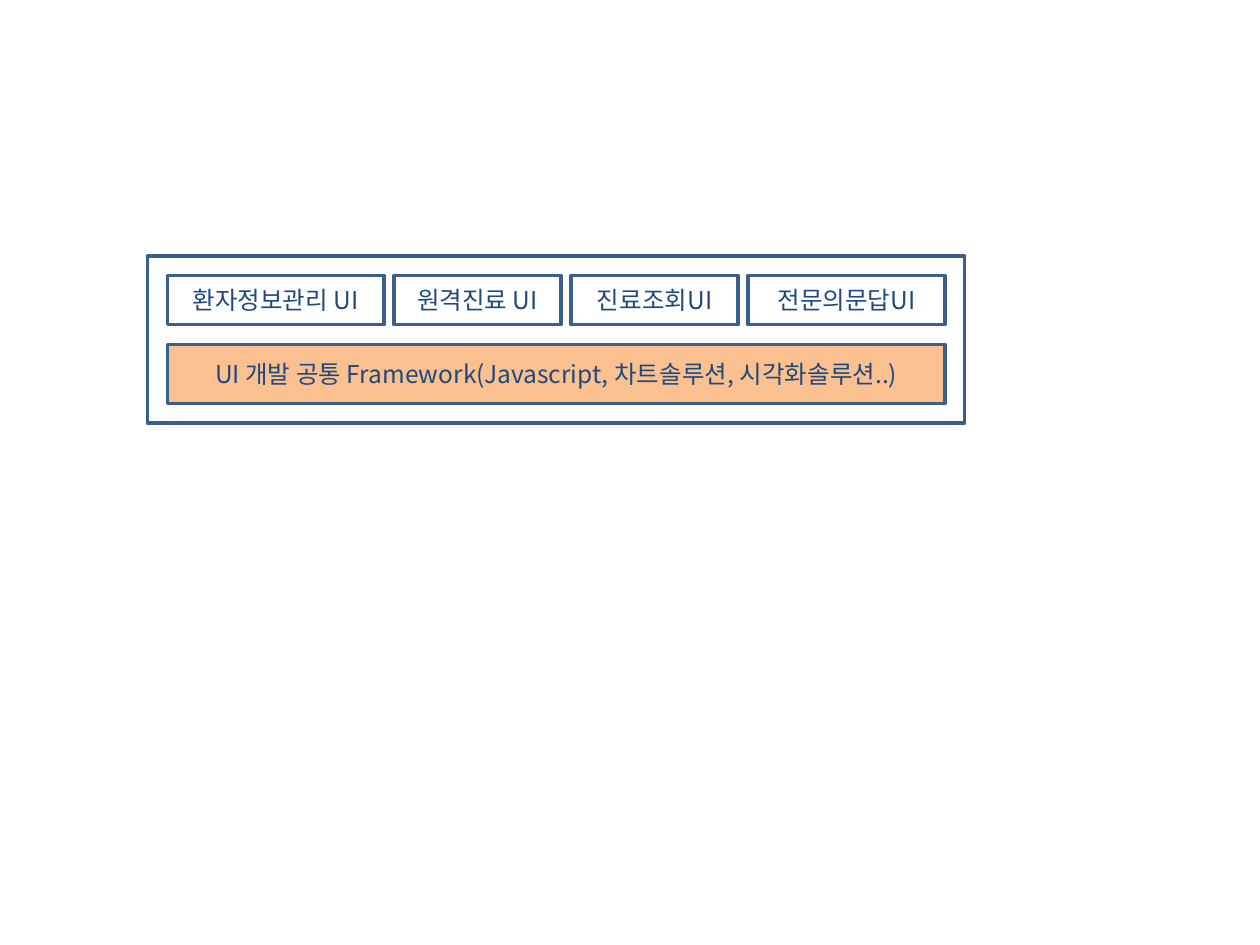
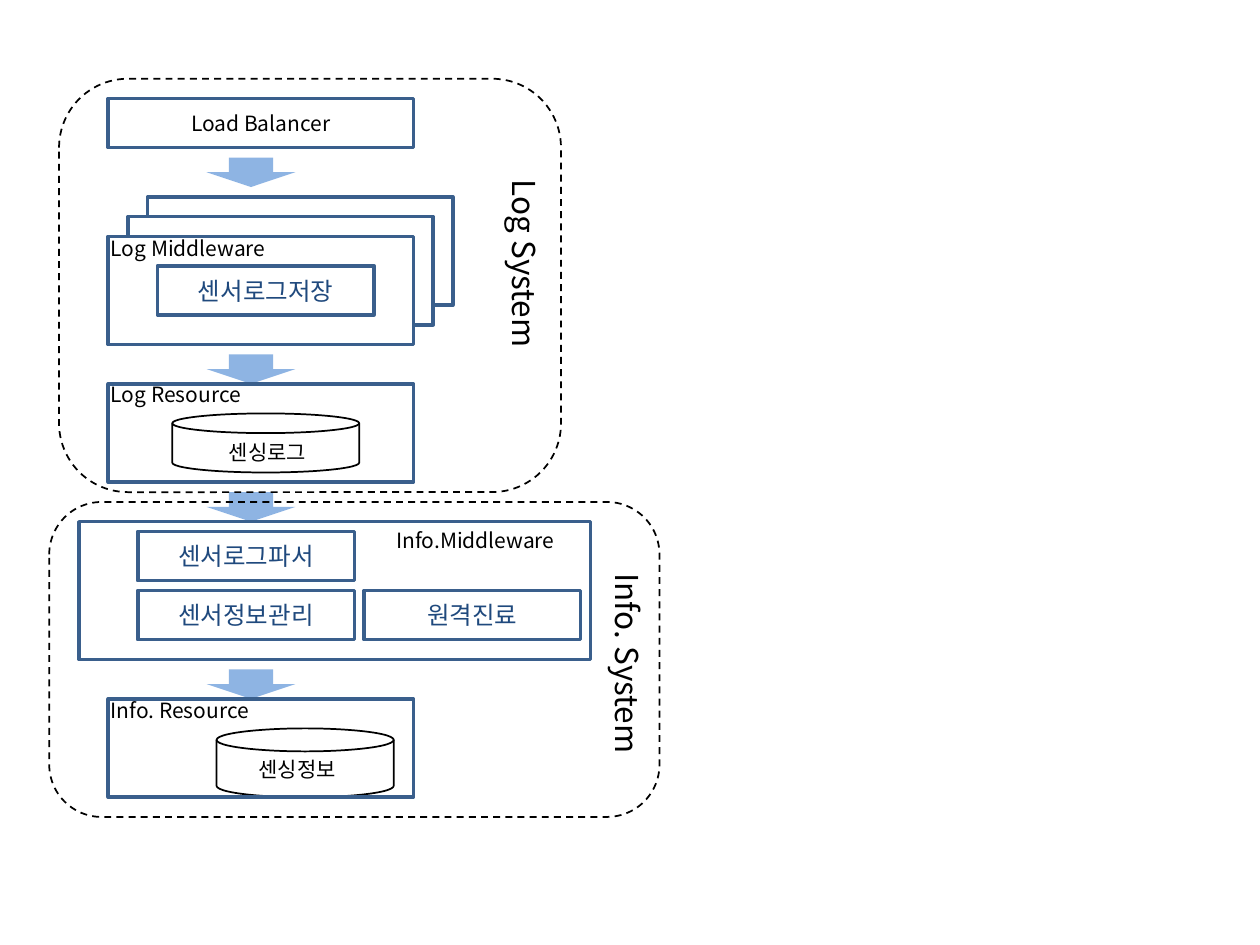
import dataclasses

import lxml.etree
import pptx
import pptx.dml.color
import pptx.enum.dml
import pptx.enum.shapes
import pptx.enum.text
import pptx.oxml.ns
import pptx.util

SHAPE = pptx.enum.shapes.MSO_SHAPE
EMU_PER_PX = 914400 / 128
SLIDE_SIZE = (1280, 960)


@dataclasses.dataclass(frozen=True)
class Theme:
    font: str = "Noto Sans CJK KR"
    white: str = "FFFFFF"
    black: str = "000000"
    border: str = "3A5F8C"
    module_text: str = "1F497D"
    framework: str = "FAC090"
    arrow: str = "8EB4E3"
    label_size: int = 12
    module_size: int = 14
    system_size: int = 18
    border_width: int = 2
    outline_width: int = 1


def px(length):
    return pptx.util.Emu(round(length * EMU_PER_PX))


def rgb(value):
    return pptx.dml.color.RGBColor.from_string(value)


def apply(target, values):
    for name, value in values.items():
        setattr(target, name, value)


class Diagram:
    def __init__(self, theme):
        self.theme = theme
        self.deck = pptx.Presentation()
        apply(self.deck, dict(zip(("slide_width", "slide_height"), map(px, SLIDE_SIZE))))
        self.slide = None

    def new_slide(self):
        self.slide = self.deck.slides.add_slide(self.deck.slide_layouts[6])

    def shape(self, preset, area, fill=None, line=None, width=0, dash=None):
        shape = self.slide.shapes.add_shape(preset, *map(px, area))
        shape.shadow.inherit = False
        if fill:
            shape.fill.solid()
            shape.fill.fore_color.rgb = rgb(fill)
        else:
            shape.fill.background()
        if line:
            shape.line.color.rgb = rgb(line)
            apply(shape.line, {"width": pptx.util.Pt(width), "dash_style": dash})
        else:
            shape.line.fill.background()
        return shape

    def set_text(self, frame, text, size, color, align):
        frame.word_wrap = True
        paragraph = frame.paragraphs[0]
        paragraph.alignment = align
        run = paragraph.add_run()
        run.text = text
        apply(run.font, {"size": pptx.util.Pt(size), "name": self.theme.font})
        run.font.color.rgb = rgb(color)
        east_asian = lxml.etree.SubElement(run.font._element, pptx.oxml.ns.qn("a:ea"))
        east_asian.set("typeface", self.theme.font)

    def box(self, area, text=None, fill=None, size=None, color=None):
        theme = self.theme
        box = self.shape(SHAPE.RECTANGLE, area, fill, theme.border, theme.border_width)
        if text:
            self.set_text(box.text_frame, text, size or theme.module_size,
                          color or theme.module_text, pptx.enum.text.PP_ALIGN.CENTER)

    def database(self, area):
        self.shape(SHAPE.FLOWCHART_MAGNETIC_DISK, area, self.theme.white,
                   self.theme.black, self.theme.outline_width)

    def arrow(self, top):
        self.shape(SHAPE.DOWN_ARROW, (210, top, 90, 30), self.theme.arrow)

    def system(self, area):
        self.shape(SHAPE.ROUNDED_RECTANGLE, area, None, self.theme.black,
                   self.theme.outline_width, pptx.enum.dml.MSO_LINE.DASH)

    def label(self, area, text, size=None, vertical=False):
        frame = self.slide.shapes.add_textbox(*map(px, area)).text_frame
        self.set_text(frame, text, size or self.theme.label_size, self.theme.black,
                      pptx.enum.text.PP_ALIGN.LEFT)
        frame.auto_size = pptx.enum.text.MSO_AUTO_SIZE.SHAPE_TO_FIT_TEXT
        if vertical:
            frame._txBody.bodyPr.set("vert", "eaVert")


def build_ui_layer(diagram):
    diagram.new_slide()
    diagram.box((150, 260, 830, 170))
    diagram.box((170, 350, 790, 60),
                "UI 개발 공통 Framework(Javascript, 차트솔루션, 시각화솔루션..)",
                diagram.theme.framework)
    left = 170
    for screen, width in (("환자정보관리 UI", 220), ("원격진료 UI", 170),
                          ("진료조회UI", 170), ("전문의문답UI", 200)):
        diagram.box((left, 280, width, 50), screen)
        left += width + 10


def build_log_and_info_systems(diagram):
    theme = diagram.theme
    column_left, column_width = 110, 310
    diagram.new_slide()
    for depth in (2, 1, 0):
        diagram.box((column_left + 20 * depth, 240 - 20 * depth, column_width, 110),
                    fill=theme.white)
    for store in ((175, 420, 190, 60), (220, 740, 180, 70)):
        diagram.database(store)
    for module, left, top in (("센서로그저장", 160, 270), ("센서로그파서", 140, 540),
                              ("센서정보관리", 140, 600), ("원격진료", 370, 600)):
        diagram.box((left, top, 220, 50), module)
    for store_name, left, top in (("센싱로그", 220, 440), ("센싱정보", 250, 762)):
        diagram.label((left, top, 140, 38), store_name)
    diagram.box((column_left, 100, column_width, 50), "Load Balancer",
                theme.white, theme.label_size, theme.black)
    for top in (160, 360, 500, 680):
        diagram.arrow(top)
    diagram.box((80, 530, 520, 140))
    for resource_top in (390, 710):
        diagram.box((column_left, resource_top, column_width, 100))
    for system_area in ((60, 80, 510, 420), (50, 510, 620, 320)):
        diagram.system(system_area)
    for layer, left, top, width in (("Log Middleware", 100, 233, 190),
                                    ("Log Resource", 100, 381, 160),
                                    ("Info.Middleware", 390, 530, 210),
                                    ("Info. Resource", 100, 702, 190)):
        diagram.label((left, top, width, 38), layer)
    for system_name, left, top in (("Log System", 495, 170), ("Info. System", 600, 570)):
        diagram.label((left, top, 64, 250), system_name, theme.system_size, vertical=True)


def main():
    diagram = Diagram(Theme())
    build_ui_layer(diagram)
    build_log_and_info_systems(diagram)
    diagram.deck.save("out.pptx")


if __name__ == "__main__":
    main()
